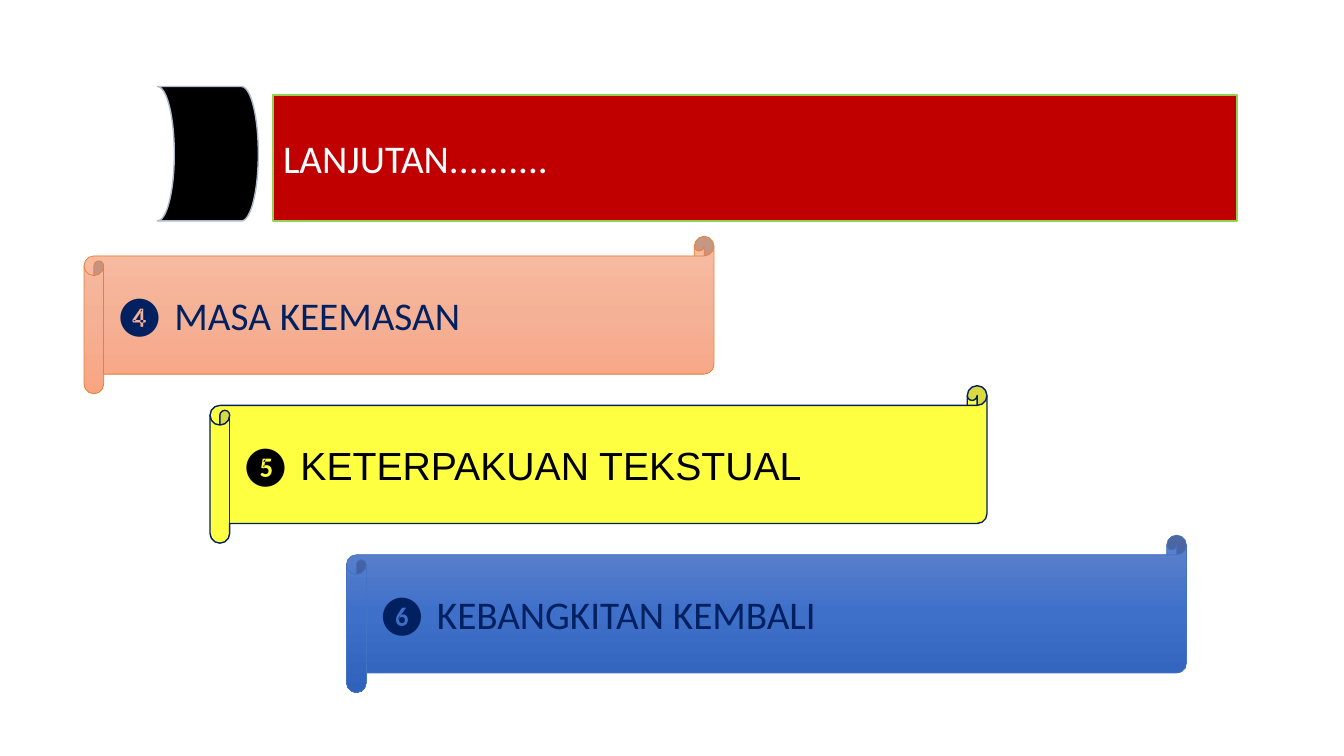
from copy import deepcopy

from lxml import etree
from pptx import Presentation
from pptx.dml.color import RGBColor
from pptx.enum import shapes, text
from pptx.oxml.ns import qn
from pptx.util import Pt

NAVY = "002060"


def rgb(value):
    return RGBColor.from_string(value)


def place(box, left, top, width, height):
    box.left, box.top = Pt(left), Pt(top)
    box.width, box.height = Pt(width), Pt(height)


def outline(box, colour, weight):
    box.line.color.rgb = rgb(colour)
    box.line.width = Pt(weight)


def fill_solid(box, colour, opacity=100):
    box.fill.solid()
    box.fill.fore_color.rgb = rgb(colour)
    if opacity < 100:
        tint = box.fill._xPr.find(qn("a:solidFill"))[0]
        etree.SubElement(tint, qn("a:alpha"), val=str(opacity * 1000))


def fill_downward(box, colours):
    """Fill with evenly spaced gradient colours from top to bottom."""
    box.fill.gradient()
    box.fill.gradient_angle = 270
    stop_list = box.fill._xPr.find(qn("a:gradFill")).find(qn("a:gsLst"))
    while len(stop_list) < len(colours):
        stop_list.append(deepcopy(stop_list[0]))
    for index, (stop, colour) in enumerate(zip(box.fill.gradient_stops, colours)):
        stop.position = index / (len(colours) - 1)
        stop.color.rgb = rgb(colour)


def add_span(para, wording, colour, font="Calibri"):
    span = para.add_run()
    span.text = wording
    span.font.name = font
    span.font.size = Pt(28)
    span.font.color.rgb = rgb(colour)


def set_title(page, wording):
    """Turn the title placeholder into the red pointed banner."""
    title = page.shapes.title
    place(title, 195, 67.8, 688.5, 90)
    geometry = etree.SubElement(title._element.spPr, qn("a:prstGeom"),
                                prst="flowChartDelay")
    etree.SubElement(geometry, qn("a:avLst"))
    fill_solid(title, "C00000")
    outline(title, "92D050", 1)
    frame = title.text_frame
    frame.auto_size = text.MSO_AUTO_SIZE.NONE
    frame.vertical_anchor = text.MSO_ANCHOR.MIDDLE
    para = frame.paragraphs[0]
    para.alignment = text.PP_ALIGN.JUSTIFY
    add_span(para, wording, "FFFFFF")


def add_handle(page):
    handle = page.shapes.add_shape(
        shapes.MSO_SHAPE.FLOWCHART_STORED_DATA,
        Pt(112.5), Pt(61.8), Pt(72), Pt(96))
    handle.shadow.inherit = False
    handle.rotation = 180
    fill_solid(handle, "000000")
    outline(handle, "ADB9CA", 1)


def add_scroll(page, left, top, width, spans, colour):
    scroll = page.shapes.add_shape(
        shapes.MSO_SHAPE.HORIZONTAL_SCROLL,
        Pt(left), Pt(top), Pt(width), Pt(112.5))
    scroll.shadow.inherit = False
    frame = scroll.text_frame
    frame.word_wrap = True
    frame.vertical_anchor = text.MSO_ANCHOR.MIDDLE
    para = frame.paragraphs[0]
    para.alignment = text.PP_ALIGN.LEFT
    margins = para._p.get_or_add_pPr()
    margins.set("marL", str(Pt(40.5)))
    margins.set("indent", str(Pt(-40.5)))
    for wording, font in spans:
        add_span(para, wording, colour, font)
    return scroll


def main():
    deck = Presentation()
    deck.slide_width, deck.slide_height = Pt(960), Pt(540)
    page = deck.slides.add_slide(deck.slide_layouts[5])
    set_title(page, "LANJUTAN..........")

    textual = add_scroll(page, 150, 275.5, 555,
                         [("❺ ", "Calibri"), ("KETERPAKUAN TEKSTUAL", "Arial")],
                         "000000")
    fill_solid(textual, "FFFF00", 74)
    outline(textual, NAVY, 1)

    golden = add_scroll(page, 60, 168.75, 450,
                        [("❹ MASA KEEMASAN", "Calibri")], NAVY)
    fill_downward(golden, ["F7BDA5", "F5B196", "F8A582"])
    outline(golden, "ED7D31", 0.5)

    add_handle(page)

    revival = add_scroll(page, 247.5, 382.25, 600,
                         [("❻ KEBANGKITAN KEMBALI", "Calibri")], NAVY)
    fill_downward(revival, ["6183CB", "3E70CA", "3062BB"])
    outline(revival, "4472C4", 0.5)

    deck.save("out.pptx")


if __name__ == "__main__":
    main()
